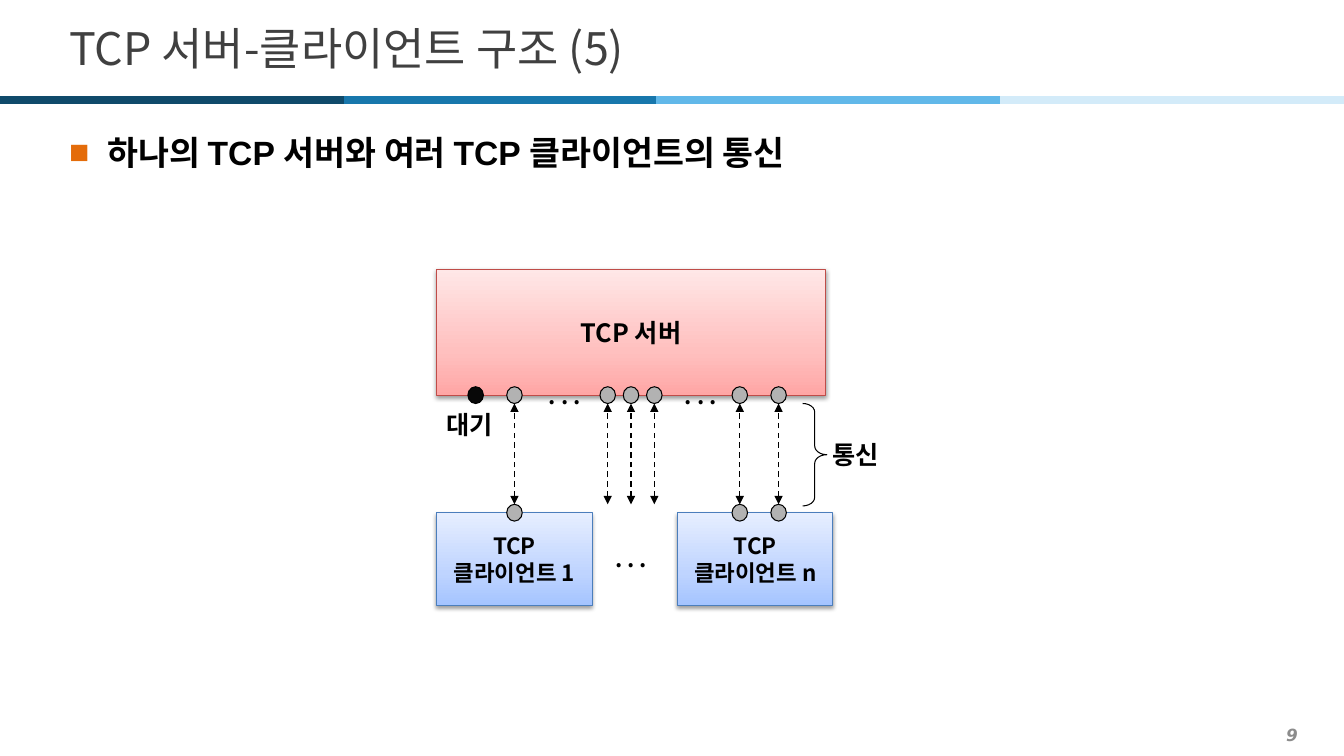
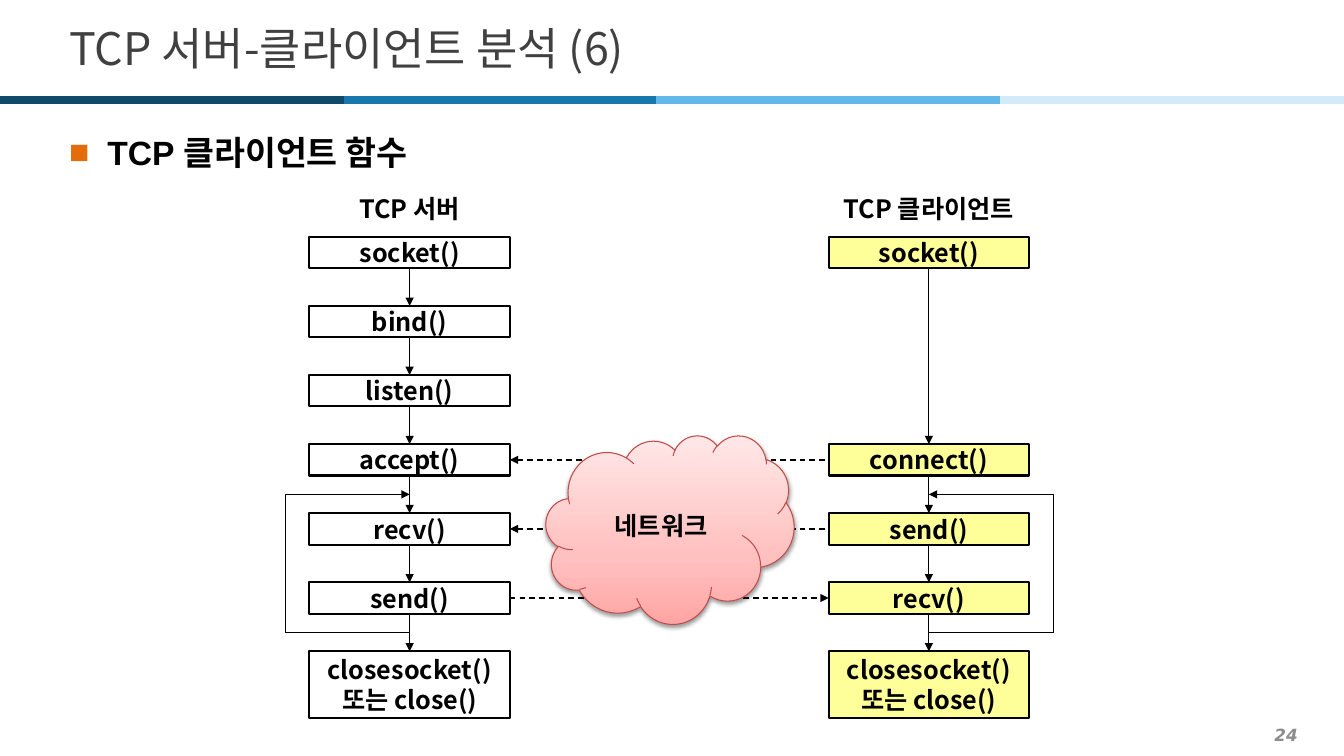
from copy import deepcopy
from dataclasses import dataclass
from itertools import pairwise

from lxml import etree
from pptx import Presentation
from pptx import util as u
from pptx.dml.color import RGBColor
from pptx.enum import dml, shapes, text
from pptx.oxml.ns import qn

LEFT, MID, RIGHT = text.PP_ALIGN.LEFT, text.PP_ALIGN.CENTER, text.PP_ALIGN.RIGHT
KIND = shapes.MSO_SHAPE


@dataclass(frozen=True)
class Theme:
    sans: str = "Noto Sans CJK KR"
    body: str = "Arial"
    digit: str = "DejaVu Sans"
    ink: str = "000000"
    title: str = "404040"
    mute: str = "8C8C8C"
    mark: str = "E46C0A"
    idle: str = "080808"
    port: str = "B2B2B2"
    note: str = "FFFF99"
    band: tuple = ("0F4A6B", "1877AC", "61B8E9", "D3EBF9")
    # Gradient stops from the bottom up, then the outline
    red: tuple = ("FFA6A5", "FFC0BF", "FFE7E7", "BF4C48")
    blue: tuple = ("A4C4FF", "BFD4FF", "E6EEFF", "4B7EBC")
    huge: int = 32
    large: int = 24
    base: int = 18
    small: int = 16
    tiny: int = 12


T = Theme()


class Grid:
    """A box divided into columns and rows."""

    def __init__(self, box, cols, rows):
        self.x, self.y, wide, high = box
        self.col, self.row = wide / cols, high / rows

    def spot(self, c, r):
        return round(self.x + c * self.col), round(self.y + r * self.row)

    def box(self, c, r, w, h):
        return *self.spot(c, r), round(w * self.col), round(h * self.row)


PAGE = Grid((0, 0, u.Inches(13.33), u.Inches(7.5)), 100, 100)


def rgb(code):
    return RGBColor.from_string(code)


def add(parent, tag, **attrs):
    return etree.SubElement(parent, qn(tag), attrs)


# Text

def write(shape, words, size=T.base, color=T.ink, font=T.sans, bold=True,
          italic=False, align=MID, anchor=text.MSO_ANCHOR.MIDDLE):
    frame = shape.text_frame
    frame.text = words
    frame.word_wrap = align != MID
    frame.vertical_anchor = anchor
    for para in frame.paragraphs:
        para.alignment = align
        face = para.font
        face.size, face.name = u.Pt(size), font
        face.bold, face.italic = bold, italic
        face.color.rgb = rgb(color)
        add(para._p.pPr.find(qn("a:defRPr")), "a:ea", typeface=T.sans)
    return frame


def label(slide, box, words, **style):
    return write(slide.shapes.add_textbox(*box), words, **style)


def bullet(para):
    para.line_spacing, para.space_after = 1.2, u.Pt(2)
    props = para._p.pPr
    props.set("marL", str(u.Inches(0.38)))
    props.set("indent", str(-u.Inches(0.38)))
    tint = etree.Element(qn("a:buClr"))
    add(tint, "a:srgbClr", val=T.mark)
    face = etree.Element(qn("a:buFont"), typeface=T.body)
    sign = etree.Element(qn("a:buChar"), char="■")
    for part in (tint, face, sign):
        props.find(qn("a:defRPr")).addprevious(part)


# Shapes and lines

def shape(slide, kind, box, fill=None, edge=T.ink, width=0.75):
    item = slide.shapes.add_shape(kind, *box)
    item.shadow.inherit = False
    if fill:
        item.fill.solid()
        item.fill.fore_color.rgb = rgb(fill)
    else:
        item.fill.background()
    item.line.color.rgb = rgb(edge)
    item.line.width = u.Pt(width)
    return item


def glossy(slide, kind, box, tones):
    *stops, edge = tones
    item = shape(slide, kind, box, edge=edge)
    item.fill.gradient()
    item.fill.gradient_angle = 90
    props = item._element.spPr
    ramp = props.find(".//" + qn("a:gsLst"))
    ramp.append(deepcopy(ramp[0]))
    for stop, tone, place in zip(item.fill.gradient_stops, stops, (0, 0.35, 1)):
        stop.color.rgb = rgb(tone)
        stop.position = place
    cast = add(props.find(qn("a:effectLst")), "a:outerShdw",
               blurRad=str(u.Pt(3.1)), dist=str(u.Pt(1.6)),
               dir="5400000", rotWithShape="0")
    add(add(cast, "a:srgbClr", val=T.ink), "a:alpha", val="38000")
    return item


def line(slide, start, end, color=T.ink, width=0.75, dash=False, ends=()):
    item = slide.shapes.add_connector(
        shapes.MSO_CONNECTOR.STRAIGHT, *start, *end)
    item.line.color.rgb = rgb(color)
    item.line.width = u.Pt(width)
    if dash:
        item.line.dash_style = dml.MSO_LINE.DASH
    props = item._element.spPr
    for tip in ends:
        add(props.find(qn("a:ln")), f"a:{tip}End", type="triangle")
    add(props, "a:effectLst")


# Parts that every slide shares

def base(deck, title, topic, number):
    slide = deck.slides.add_slide(deck.slide_layouts[6])
    label(slide, PAGE.box(1.5, 95.2, 95.8, 4.1), number, size=T.tiny,
          color=T.mute, font=T.digit, italic=True, align=RIGHT)
    edges = pairwise((0, 25.6, 48.8, 74.4, 100))
    for (start, end), tone in zip(edges, T.band):
        line(slide, PAGE.spot(start, 13.2), PAGE.spot(end, 13.2), tone, 6)
    label(slide, PAGE.box(4.4, 1.7, 91.6, 9.1), title, size=T.huge,
          color=T.title, bold=False, align=LEFT)
    body = label(slide, PAGE.box(4.4, 15.7, 91.6, 80.4), topic, size=T.large,
                 font=T.body, align=LEFT, anchor=text.MSO_ANCHOR.TOP)
    bullet(body.paragraphs[0])
    return slide


# One server with many clients

def star(slide, box):
    grid = Grid(box, 50, 40)
    top, low = 15, 29

    def port(col, row, fill=T.port):
        shape(slide, KIND.OVAL, grid.box(col - 1, row - 1, 2, 2), fill)

    server = glossy(slide, KIND.RECTANGLE, grid.box(0, 0, 50, top), T.red)
    write(server, "TCP 서버")
    for col, name in ((0, "1"), (31, "n")):
        client = glossy(slide, KIND.RECTANGLE, grid.box(col, low, 20, 11), T.blue)
        write(client, f"TCP\n클라이언트 {name}", size=T.small)

    # Ports and links
    port(5, top, T.idle)
    for col in (10, 22, 25, 28, 39, 44):
        port(col, top)
        line(slide, grid.spot(col, low - 1), grid.spot(col, top + 1),
             width=1, dash=True, ends=("head", "tail"))
    for col in (10, 39, 44):
        port(col, low)

    # Labels and brace; each ellipsis is centred in a box wide enough for one line
    for mid, row, high in ((16.5, 14, 2), (34, 14, 2), (25, low, 11)):
        label(slide, grid.box(mid - 5, row, 10, high), ". . .", size=T.small)
    label(slide, grid.box(0, 17, 10, 3), "대기", align=LEFT)
    label(slide, grid.box(49.6, 20.5, 10.8, 3), "통신", align=LEFT)
    brace = shape(slide, KIND.RIGHT_BRACE, grid.box(47.1, 16, 3.1, 12.2))
    brace.adjustments[0] = 0.36


# Call sequences of server and client

WIDE, HIGH, STEP, HEAD = 26.1, 5, 11, 7


def top_of(step):
    return HEAD + step * STEP


def lane(slide, grid, left, rim, name, calls, fill=None):
    mid = left + WIDE / 2
    label(slide, grid.box(left, 0, WIDE, HIGH), name)
    for step, words in calls.items():
        high = 10.6 if "\n" in words else HIGH
        item = shape(slide, KIND.RECTANGLE,
                     grid.box(left, top_of(step), WIDE, high), fill, width=1.5)
        write(item, words)
    for step, after in pairwise(calls):
        line(slide, grid.spot(mid, top_of(step) + HIGH),
             grid.spot(mid, top_of(after)), ends=("tail",))

    # Loop back from the last call to the first exchange
    back, end = top_of(4) - 3, top_of(6) - 3
    turns = ((mid, end), (rim, end), (rim, back), (mid, back))
    for (start, stop), ends in zip(pairwise(turns), ((), (), ("tail",))):
        line(slide, grid.spot(*start), grid.spot(*stop), ends=ends)


def flow(slide, box):
    grid = Grid(box, 100, 77)
    left, right = 3.1, 70.7
    close = "closesocket()\n또는 close()"
    names = ("socket()", "bind()", "listen()", "accept()", "recv()", "send()", close)
    lane(slide, grid, left, 0, "TCP 서버", dict(enumerate(names)))
    lane(slide, grid, right, 100, "TCP 클라이언트",
         {0: "socket()", 3: "connect()", 4: "send()", 5: "recv()", 6: close},
         T.note)

    # Messages through the network
    for step, tip in ((3, "head"), (4, "head"), (5, "tail")):
        row = top_of(step) + HIGH / 2
        line(slide, grid.spot(left + WIDE, row), grid.spot(right, row),
             width=1, dash=True, ends=(tip,))
    cloud = glossy(slide, KIND.CLOUD, grid.box(33.9, 38.6, 32.3, 30), T.red)
    write(cloud, "네트워크")


def main():
    deck = Presentation()
    deck.slide_width, deck.slide_height = PAGE.spot(100, 100)
    star(base(deck, "TCP 서버-클라이언트 구조 (5)",
              "하나의 TCP 서버와 여러 TCP 클라이언트의 통신", "9"),
         PAGE.box(32.5, 35.6, 28.9, 44.44))
    flow(base(deck, "TCP 서버-클라이언트 분석 (6)", "TCP 클라이언트 함수", "24"),
         PAGE.box(21.25, 25.5, 57.15, 64))
    deck.save("out.pptx")


if __name__ == "__main__":
    main()
